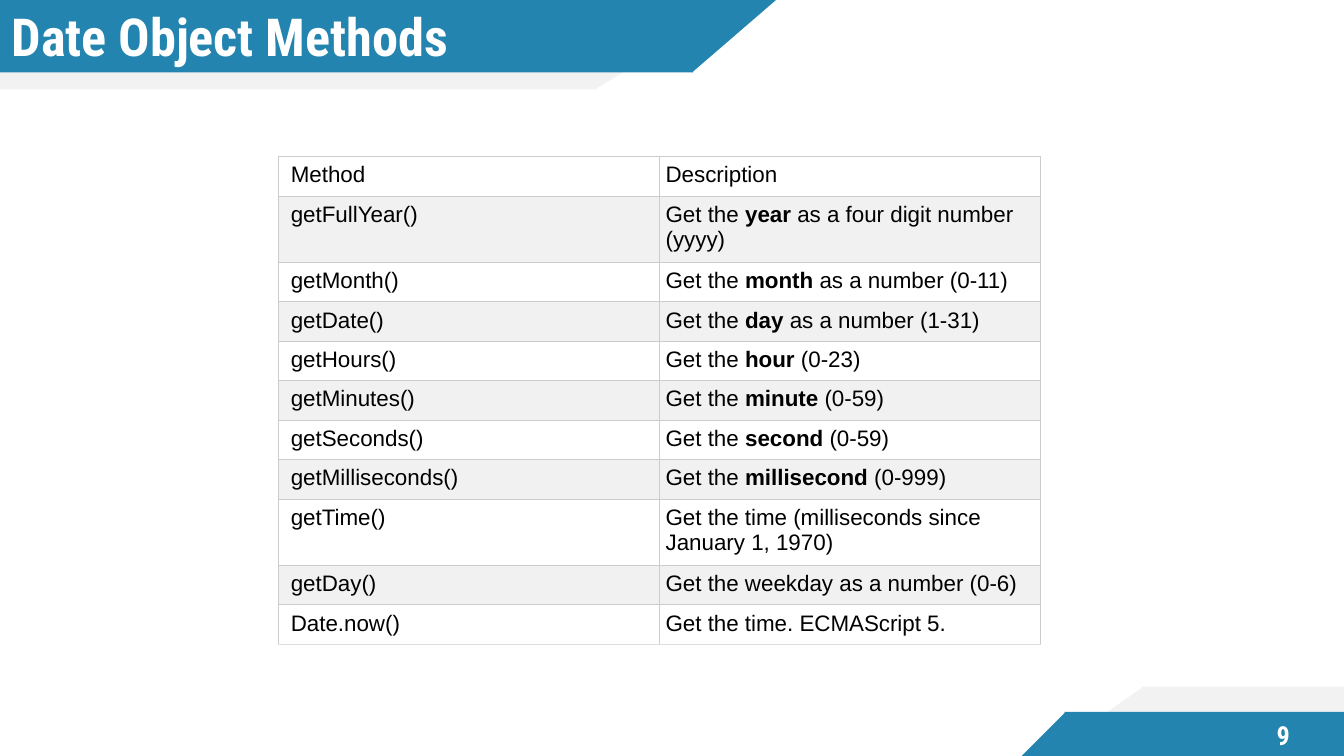
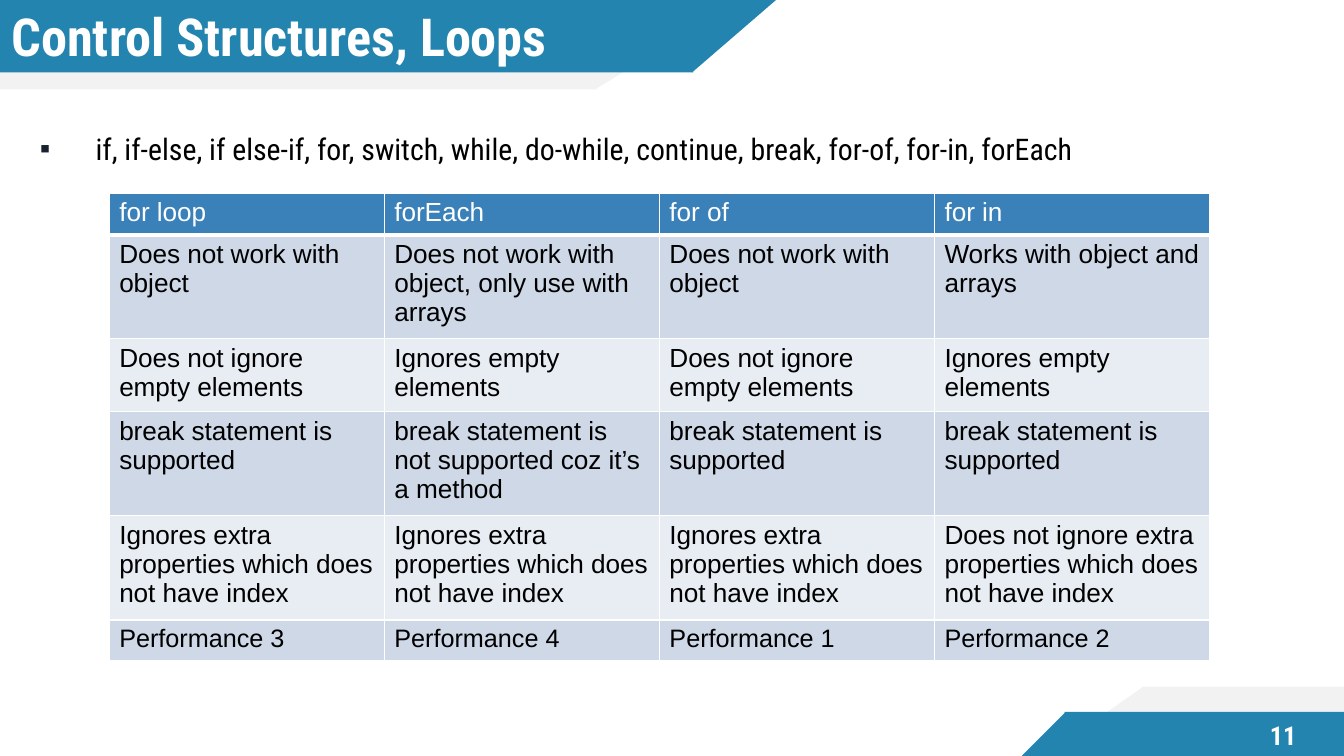
from dataclasses import dataclass

from lxml.etree import SubElement
from pptx import Presentation
from pptx.dml.color import RGBColor
from pptx.enum.shapes import MSO_SHAPE
from pptx.enum.text import MSO_ANCHOR, MSO_AUTO_SIZE, PP_ALIGN
from pptx.oxml.ns import qn
from pptx.util import Emu, Pt

PX = 9525
WIDTH, HEIGHT = 1280, 720


@dataclass(frozen=True)
class Theme:
    heading_font: str = "Roboto Condensed"
    table_font: str = "Arial"
    blue: str = "2384AF"
    pale: str = "F2F2F2"
    white: str = "FFFFFF"
    black: str = "000000"
    bullet: str = "19212F"
    stripe: str = "F1F1F1"
    grid: str = "CCCCCC"
    grid_end: str = "DDDDDD"
    header: str = "3A81BA"
    band_dark: str = "CED8E7"
    band_light: str = "E8EDF3"
    title_size: float = 37.33
    body_size: float = 21.33
    number_size: float = 18.67
    methods_size: float = 16
    loops_size: float = 18.67
    rank_size: float = 18


THEME = Theme()

BANDS = [
    (THEME.pale, (0, 0, 568, 85), (567, 0, 139, 85), 180),
    (THEME.blue, (0, 0, 660, 69), (659, 0, 80, 69), 180),
    (THEME.pale, (1088, 654, 192, 66), (995, 654, 94, 66), 0),
    (THEME.blue, (1014, 678, 266, 42), (973, 678, 42, 42), 0),
]

METHODS = [
    ("Method", "Description"),
    ("getFullYear()", "Get the **year** as a four digit number (yyyy)"),
    ("getMonth()", "Get the **month** as a number (0-11)"),
    ("getDate()", "Get the **day** as a number (1-31)"),
    ("getHours()", "Get the **hour** (0-23)"),
    ("getMinutes()", "Get the **minute** (0-59)"),
    ("getSeconds()", "Get the **second** (0-59)"),
    ("getMilliseconds()", "Get the **millisecond** (0-999)"),
    ("getTime()", "Get the time (milliseconds since January 1, 1970)"),
    ("getDay()", "Get the weekday as a number (0-6)"),
    ("Date.now()", "Get the time. ECMAScript 5."),
]

NO_OBJECT = "Does not work with object"
KEEPS_EMPTY = "Does not ignore empty elements"
SKIPS_EMPTY = "Ignores empty elements"
BREAKS = "break statement is supported"
SKIPS_EXTRA = "Ignores extra properties which does not have index"
LOOPS = [
    ("for loop", "forEach", "for of", "for in"),
    (NO_OBJECT, "Does not work with object, only use with arrays",
     NO_OBJECT, "Works with object and arrays"),
    (KEEPS_EMPTY, SKIPS_EMPTY, KEEPS_EMPTY, SKIPS_EMPTY),
    (BREAKS, "break statement is not supported coz it’s a method", BREAKS, BREAKS),
    (SKIPS_EXTRA, SKIPS_EXTRA, SKIPS_EXTRA,
     "Does not ignore extra properties which does not have index"),
    ("Performance 3", "Performance 4", "Performance 1", "Performance 2"),
]


def px(n):
    return Emu(n * PX)


def rgb(value):
    return RGBColor.from_string(value)


def write(tf, text, *, size, color=THEME.black, font=THEME.heading_font,
          bold=False, align=PP_ALIGN.LEFT):
    p = tf.paragraphs[0]
    p.alignment = align
    for i, part in enumerate(text.split("**")):
        r = p.add_run()
        r.text = part
        r.font.size = Pt(size)
        r.font.name = font
        r.font.bold = bold or i % 2 == 1
        r.font.color.rgb = rgb(color)
    return p


def set_margins(box, left, top, right, bottom):
    box.margin_left, box.margin_top = px(left), px(top)
    box.margin_right, box.margin_bottom = px(right), px(bottom)


def add_text(slide, box, text, *, margins, anchor=MSO_ANCHOR.TOP, **fmt):
    tf = slide.shapes.add_textbox(*map(px, box)).text_frame
    tf.word_wrap = True
    tf.vertical_anchor = anchor
    set_margins(tf, *margins)
    return write(tf, text, **fmt)


def add_bullet(p, char, color, indent, hanging):
    pPr = p._p.get_or_add_pPr()
    pPr.set("marL", str(px(indent)))
    pPr.set("indent", str(px(-hanging)))
    clr = SubElement(pPr, qn("a:buClr"))
    SubElement(clr, qn("a:srgbClr"), val=color)
    SubElement(pPr, qn("a:buFont"), typeface=THEME.table_font)
    SubElement(pPr, qn("a:buChar"), char=char)


def add_plain_shape(slide, kind, box, color, rotation):
    sp = slide.shapes.add_shape(kind, *map(px, box))
    sp.shadow.inherit = False
    sp.fill.solid()
    sp.fill.fore_color.rgb = rgb(color)
    sp.line.fill.background()
    sp.rotation = rotation
    sp.element.spPr.find(qn("a:xfrm")).set("flipH", "1")
    return sp


def decorate_layout(layout, slide):
    for ph in list(layout.placeholders)[1:]:
        ph.element.getparent().remove(ph.element)
    for color, bar, wedge, rotation in BANDS:
        for kind, box in ((MSO_SHAPE.RECTANGLE, bar),
                          (MSO_SHAPE.RIGHT_TRIANGLE, wedge)):
            sp = add_plain_shape(slide, kind, box, color, rotation)
            layout.shapes.element.append(sp.element)


def set_title(slide, text):
    title = slide.shapes.title
    title.left, title.top, title.width, title.height = map(px, (0, 4, 707, 60))
    tf = title.text_frame
    tf.word_wrap = True
    tf.auto_size = MSO_AUTO_SIZE.SHAPE_TO_FIT_TEXT
    tf.vertical_anchor = MSO_ANCHOR.MIDDLE
    set_margins(tf, 11, 0, 0, 0)
    write(tf, text, size=THEME.title_size, color=THEME.white, bold=True)


def add_number(slide, number):
    add_text(slide, (1180, 679, 84, 43), str(number), margins=(10, 10, 10, 10),
             anchor=MSO_ANCHOR.MIDDLE, size=THEME.number_size, color=THEME.white,
             bold=True, align=PP_ALIGN.CENTER)


def set_borders(cell, color, width, bottom):
    tcPr = cell._tc.get_or_add_tcPr()
    sides = [(side, color, width) for side in "LRT"] + [("B", *bottom)]
    for i, (side, line_color, line_width) in enumerate(sides):
        ln = SubElement(tcPr, qn(f"a:ln{side}"), w=str(Pt(line_width)))
        fill = SubElement(ln, qn("a:solidFill"))
        SubElement(fill, qn("a:srgbClr"), val=line_color)
        tcPr.insert(i, ln)


def add_grid(slide, rows, *, left, top, col_width, heights, style_cell):
    cols = len(rows[0])
    frame = slide.shapes.add_table(len(rows), cols, px(left), px(top),
                                   px(col_width * cols), px(sum(heights)))
    table = frame.table
    table.horz_banding = False
    for col in table.columns:
        col.width = px(col_width)
    for i, (texts, height) in enumerate(zip(rows, heights)):
        table.rows[i].height = px(height)
        for j, text in enumerate(texts):
            cell = table.cell(i, j)
            cell.fill.solid()
            style_cell(cell, text, i, j)


def style_method(cell, text, i, j):
    cell.fill.fore_color.rgb = rgb(THEME.stripe if i % 2 else THEME.white)
    set_margins(cell, 6 if j else 12, 6, 6, 6)
    is_last = i == len(METHODS) - 1
    set_borders(cell, THEME.grid, 0.6,
                (THEME.grid_end if is_last else THEME.grid, 0.6))
    write(cell.text_frame, text, size=THEME.methods_size, font=THEME.table_font)


def style_loop(cell, text, i, j):
    is_header = i == 0
    band = THEME.band_dark if i % 2 else THEME.band_light
    cell.fill.fore_color.rgb = rgb(THEME.header if is_header else band)
    set_borders(cell, THEME.white, 1, (THEME.white, 3 if is_header else 1))
    is_rank = i == len(LOOPS) - 1
    write(cell.text_frame, text, font=THEME.table_font,
          size=THEME.rank_size if is_rank else THEME.loops_size,
          color=THEME.white if is_header else THEME.black)


def add_slide(prs, title, number):
    slide = prs.slides.add_slide(prs.slide_layouts[5])
    set_title(slide, title)
    add_number(slide, number)
    return slide


def add_methods_slide(prs):
    slide = add_slide(prs, "Date Object Methods", 9)
    heights = [62 if i in (1, 8) else 36 for i in range(len(METHODS))]
    add_grid(slide, METHODS, left=265, top=149, col_width=363,
             heights=heights, style_cell=style_method)
    return slide


def add_loops_slide(prs):
    slide = add_slide(prs, "Control Structures, Loops", 11)
    p = add_text(slide, (17, 119, 1221, 43),
                 "if, if-else, if else-if, for, switch, while, do-while, "
                 "continue, break, for-of, for-in, forEach",
                 margins=(10, 5, 10, 5), size=THEME.body_size)
    add_bullet(p, "▪", THEME.bullet, 64, 53)
    add_grid(slide, LOOPS, left=104, top=184, col_width=262,
             heights=[0] + [39] * (len(LOOPS) - 1), style_cell=style_loop)


def main():
    prs = Presentation()
    prs.slide_width, prs.slide_height = px(WIDTH), px(HEIGHT)
    slide = add_methods_slide(prs)
    decorate_layout(slide.slide_layout, slide)
    add_loops_slide(prs)
    prs.save("out.pptx")


if __name__ == "__main__":
    main()
